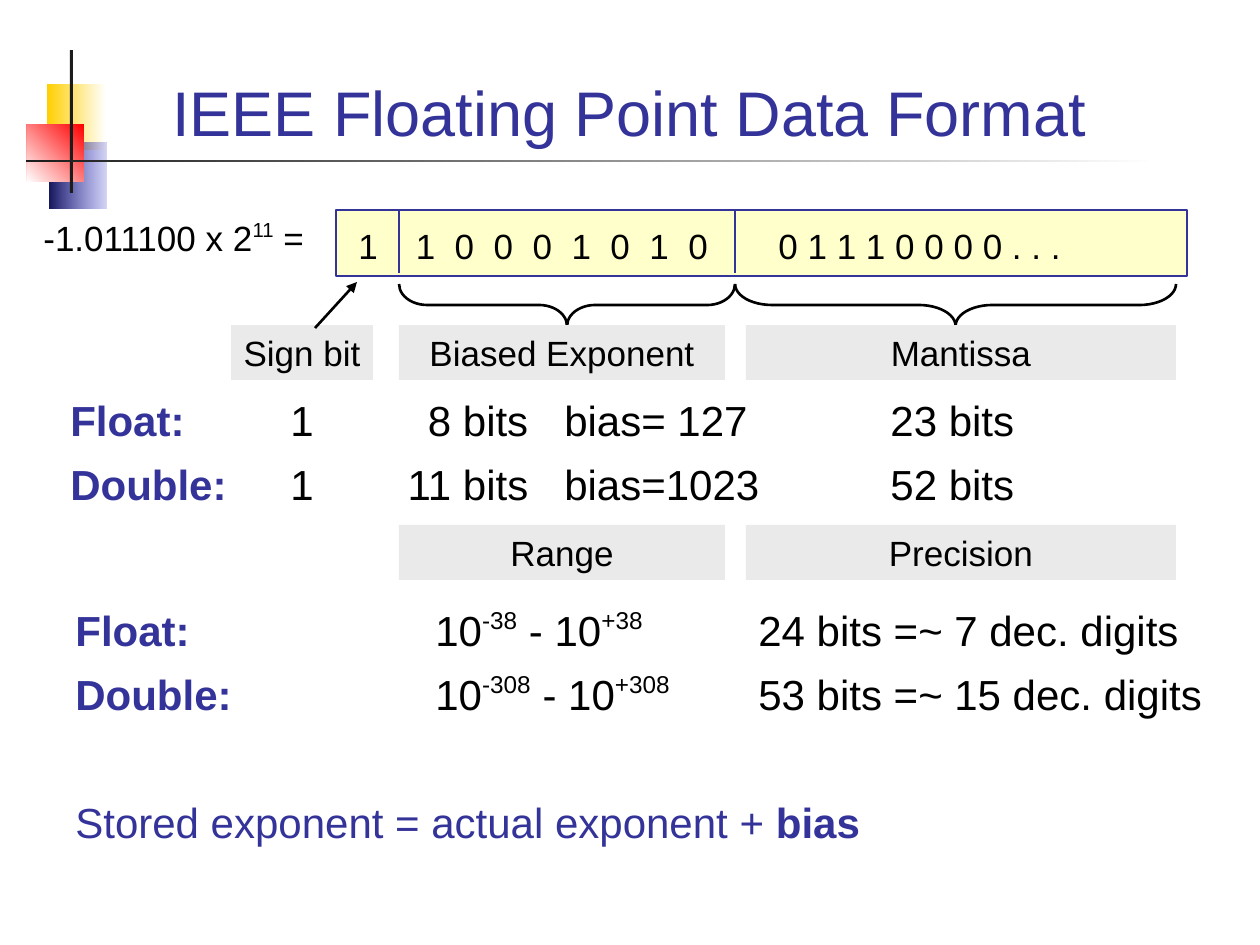
from lxml import etree
from pptx import Presentation
from pptx import util as u
from pptx.dml.color import RGBColor
from pptx.enum import shapes, text
from pptx.oxml import ns

SCALE = 914400 / 126
FONT = "Arial"
NAVY = RGBColor(0x33, 0x33, 0x99)
BLACK = RGBColor(0, 0, 0)
WHITE = RGBColor(0xFF, 0xFF, 0xFF)
INK = RGBColor(0x1C, 0x1C, 0x1C)
CREAM = RGBColor(0xFF, 0xFF, 0xCC)
GRAY = RGBColor(0xEA, 0xEA, 0xEA)
GOLD = RGBColor(0xFF, 0xCF, 0x01)
RED = RGBColor(0xFF, 0, 0)
DEEP_BLUE = RGBColor(0x17, 0x17, 0x5E)
BLUE = RGBColor(0x33, 0x33, 0xCC)

PLAIN = {}
LABEL = {"bold": True, "color": NAVY}
NOTE = {"color": NAVY}
SUPER = {"raised": True}


def px(*values):
    return [u.Emu(round(value * SCALE)) for value in values]


def child(parent, tag, **attributes):
    return etree.SubElement(parent, ns.qn(tag), **attributes)


def style_run(run, size, bold=False, color=BLACK, raised=False, spacing=0):
    run.font.name = FONT
    run.font.size = u.Pt(size)
    run.font.bold = bold
    run.font.color.rgb = color
    properties = run.font._element
    if raised:
        properties.set("baseline", "40000")
    if spacing:
        properties.set("spc", str(spacing))


def write(frame, lines, size, align=text.PP_ALIGN.LEFT, gaps=(), tabs=()):
    frame.word_wrap = True
    frame.vertical_anchor = text.MSO_ANCHOR.TOP
    for index, parts in enumerate(lines):
        paragraph = frame.add_paragraph() if index else frame.paragraphs[0]
        paragraph.alignment = align
        paragraph.line_spacing = u.Pt(round(size * 1.21, 1))
        if index:
            paragraph.space_before = u.Pt(gaps[index - 1])
        if tabs:
            stops = child(paragraph._p.get_or_add_pPr(), "a:tabLst")
            for position, kind in tabs:
                child(stops, "a:tab", pos=str(px(position)[0]), algn=kind)
        for words, style in parts:
            run = paragraph.add_run()
            run.text = words
            style_run(run, size, **style)


def text_box(slide, box, lines, size, **layout):
    write(slide.shapes.add_textbox(*px(*box)).text_frame, lines, size, **layout)


def block(slide, box, color=None, line=None, kind=shapes.MSO_SHAPE.RECTANGLE):
    shape = slide.shapes.add_shape(kind, *px(*box))
    shape.shadow.inherit = False
    if color is None:
        shape.fill.background()
    else:
        shape.fill.solid()
        shape.fill.fore_color.rgb = color
    if line is None:
        shape.line.fill.background()
    else:
        shape.line.color.rgb = line
        shape.line.width = u.Pt(1.5)
    return shape


def gradient_block(slide, box, start, end, angle=0):
    shape = block(slide, box)
    shape.fill.gradient()
    shape.fill.gradient_angle = angle
    stops = shape.fill.gradient_stops
    stops[0].color.rgb, stops[1].color.rgb = start, end
    stops[0].position, stops[1].position = 0, 1
    return shape


def straight(slide, start, end, color):
    line = slide.shapes.add_connector(
        shapes.MSO_CONNECTOR.STRAIGHT, *px(*start, *end))
    line.line.color.rgb = color
    line.line.width = u.Pt(1.5)
    child(line._element.spPr, "a:effectLst")
    return line


def caption(slide, box, words):
    write(block(slide, box, GRAY).text_frame, [[(words, PLAIN)]], 20,
          align=text.PP_ALIGN.CENTER)


def brace(slide, left, top, length, depth):
    box = (left + (length - depth) / 2, top - (length - depth) / 2, depth, length)
    shape = block(slide, box, line=BLACK, kind=shapes.MSO_SHAPE.RIGHT_BRACE)
    shape.rotation = 90
    shape.adjustments[0] = length / 12 / depth


def emblem(slide, left, top):
    gradient_block(slide, (left + 21, top + 34, 59, 66), GOLD, WHITE)
    violet = gradient_block(slide, (left + 23, top + 93, 57, 66), DEEP_BLUE, BLUE)
    clear_end = violet.fill._xPr.findall(".//" + ns.qn("a:srgbClr"))[1]
    child(clear_end, "a:alpha", val="20000")
    gradient_block(slide, (left + 1, top + 74, 57, 58), RED, WHITE, 225)
    block(slide, (left + 44, top, 3, 143), INK)
    gradient_block(slide, (left, top + 110, 1132, 2), INK, WHITE)


def heading(slide, box):
    title = slide.shapes.title
    title.left, title.top, title.width, title.height = px(*box)
    frame = title.text_frame
    frame.text = "IEEE Floating Point Data Format"
    frame.auto_size = text.MSO_AUTO_SIZE.NONE
    frame.vertical_anchor = text.MSO_ANCHOR.BOTTOM
    frame.paragraphs[0].alignment = text.PP_ALIGN.CENTER
    style_run(frame.paragraphs[0].runs[0], 36, color=NAVY)


def bit_layout(slide, left, top, width, height):
    center = text.PP_ALIGN.CENTER
    exponent, mantissa = left + 63, left + 399
    block(slide, (left, top, width, height), CREAM, NAVY)
    for divider in (exponent, mantissa):
        straight(slide, (divider, top), (divider, top + 63), NAVY)
    fields = [
        (left + 10, 44, "1", PLAIN, center),
        (exponent, 326, "1 0 0 0 1 0 1 0", {"spacing": 278}, center),
        (mantissa + 31, 400, "0 1 1 1 0 0 0 0 . . .", PLAIN, text.PP_ALIGN.LEFT),
    ]
    for field_left, field_width, bits, style, align in fields:
        text_box(slide, (field_left, top + 8, field_width, 55),
                 [[(bits, style)]], 20, align=align)
    text_box(slide, (left - 305, top, 305, 55),
             [[("-1.011100 x 2", PLAIN), ("11", SUPER), (" =", PLAIN)]], 20)

    brace(slide, exponent, top + 74, 336, 42)
    brace(slide, mantissa, top + 74, 441, 42)
    caption(slide, (left - 105, top + 115, 142, 55), "Sign bit")
    arrow = straight(slide, (left - 21, top + 118), (left + 21, top + 72), BLACK)
    child(arrow.line._get_or_add_ln(), "a:tailEnd", type="triangle")


def caption_row(slide, left, top, first, second):
    caption(slide, (left, top, 326, 55), first)
    caption(slide, (left + 347, top, 430, 55), second)


def field_sizes(slide, box):
    rows = [("Float:", "8 bits", "bias= 127", "23 bits"),
            ("Double:", "11 bits", "bias=1023", "52 bits")]
    lines = [[(name, LABEL), ("\t1\t" + "\t".join(sizes), PLAIN)]
             for name, *sizes in rows]
    text_box(slide, box, lines, 24, gaps=[7.5],
             tabs=[(220, "l"), (458, "r"), (494, "l"), (882, "ctr")])


def limits(slide, box):
    rows = [("Float:", "38", "24 bits =~ 7 dec. digits"),
            ("Double:", "308", "53 bits =~ 15 dec. digits")]
    lines = [[(name + "\t", LABEL), ("10", PLAIN), ("-" + power, SUPER),
              (" - 10", PLAIN), ("+" + power, SUPER), ("\t" + digits, PLAIN)]
             for name, power, digits in rows]
    lines.append([("Stored exponent = actual exponent + ", NOTE), ("bias", LABEL)])
    text_box(slide, box, lines, 24, gaps=[7.5, 44],
             tabs=[(360, "l"), (683, "l")])


def main():
    deck = Presentation()
    deck.slide_width, deck.slide_height = px(1260, 945)
    slide = deck.slides.add_slide(deck.slide_layouts[5])
    emblem(slide, 26, 50)
    heading(slide, (84, 35, 1091, 120))
    bit_layout(slide, 336, 210, 851, 66)
    caption_row(slide, 399, 325, "Biased Exponent", "Mantissa")
    field_sizes(slide, (58, 388, 1124, 127))
    caption_row(slide, 399, 525, "Range", "Precision")
    limits(slide, (63, 598, 1166, 255))
    deck.save("out.pptx")


if __name__ == "__main__":
    main()
